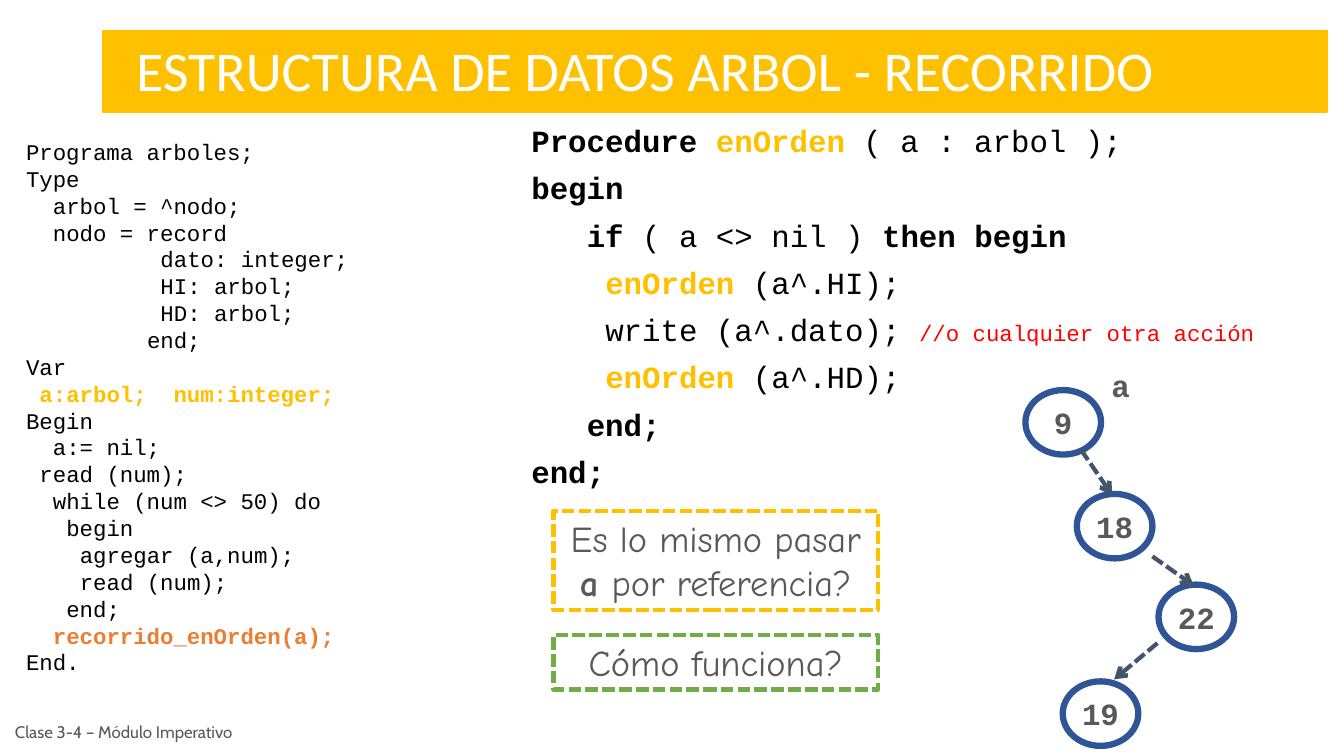
from dataclasses import dataclass
from typing import NamedTuple

from lxml import etree
from pptx import Presentation
from pptx import util as u
from pptx.dml.color import RGBColor
from pptx.enum import dml, shapes, text
from pptx.oxml.ns import qn

PX = 9144  # 100 px to the inch
MONO_ADVANCE = 0.6  # width of a Courier New character, in ems


@dataclass(frozen=True)
class Theme:
    black: str = "000000"
    white: str = "FFFFFF"
    grey: str = "595959"
    gold: str = "FFC000"
    orange: str = "ED7D31"
    green: str = "70AD47"
    red: str = "FF0000"
    ring: str = "2F5597"
    arrow: str = "44546A"
    title: int = 40
    question: int = 26
    code: int = 22
    listing: int = 16
    footer: int = 12
    code_font: str = "Courier New"
    title_font: str = "Calibri"
    question_font: str = "Comic Neue"
    footer_font: str = "Cabin"


THEME = Theme()


class Box(NamedTuple):
    left: int
    top: int
    width: int
    height: int


class Run(NamedTuple):
    text: str
    color: str | None = None
    bold: bool | None = None
    size: int | None = None


class Line(NamedTuple):
    columns: int
    runs: list[Run]


class Node(NamedTuple):
    value: str
    left: int
    top: int


class Arrow(NamedTuple):
    start: tuple[int, int]
    end: tuple[int, int]


class Question(NamedTuple):
    box: Box
    color: str
    runs: list[Run]


def plain(columns: int, words: str) -> Line:
    return Line(columns, [Run(words)])


def bold(words: str, color: str | None = None) -> Run:
    return Run(words, color, True)


PROGRAM = [
    plain(0, "Programa arboles;"),
    plain(0, "Type"),
    plain(2, "arbol = ^nodo;"),
    plain(2, "nodo = record"),
    plain(10, "dato: integer;"),
    plain(10, "HI: arbol;"),
    plain(10, "HD: arbol;"),
    plain(9, "end;"),
    plain(0, "Var"),
    Line(1, [bold("a:arbol;  num:integer;", THEME.gold)]),
    plain(0, "Begin"),
    plain(2, "a:= nil;"),
    plain(1, "read (num);"),
    plain(2, "while (num <> 50) do"),
    plain(3, "begin"),
    plain(4, "agregar (a,num);"),
    plain(4, "read (num);"),
    plain(3, "end;"),
    Line(2, [bold("recorrido_enOrden(a);", THEME.orange)]),
    plain(0, "End."),
]
CALL = bold("enOrden", THEME.gold)
PROCEDURE = [
    Line(0, [bold("Procedure "), CALL, Run(" ( a : arbol );")]),
    Line(0, [bold("begin")]),
    Line(3, [bold("if"), Run(" ( a <> nil ) "), bold("then begin")]),
    Line(4, [CALL, Run(" (a^.HI);")]),
    Line(4, [Run("write (a^.dato); "),
             Run("//o cualquier otra acción", THEME.red, size=THEME.listing)]),
    Line(4, [CALL, Run(" (a^.HD);")]),
    Line(3, [bold("end;")]),
    Line(0, [bold("end;")]),
]
QUESTIONS = [
    Question(Box(549, 507, 322, 98), THEME.gold,
             [Run("Es lo mismo pasar "), bold("a "), Run("por referencia?")]),
    Question(Box(549, 630, 322, 54), THEME.green, [Run("Cómo funciona?")]),
]
NODES = [Node("9", 1017, 387), Node("18", 1068, 490),
         Node("22", 1149, 580), Node("19", 1054, 676)]
ARROWS = [Arrow((1072, 446), (1103, 491)), Arrow((1143, 552), (1184, 581)),
          Arrow((1148, 638), (1105, 674))]


def place(shape, box: Box) -> None:
    shape.left, shape.top, shape.width, shape.height = (n * PX for n in box)


def set_font(font, name: str, size: int, color: str, is_bold: bool = False) -> None:
    font.name, font.size, font.bold = name, u.Pt(size), is_bold
    font.color.rgb = RGBColor.from_string(color)


def prepare_frame(shape, anchor=text.MSO_ANCHOR.TOP):
    frame = shape.text_frame
    frame.word_wrap = True
    frame.auto_size = text.MSO_AUTO_SIZE.NONE
    frame.vertical_anchor = anchor
    return frame


def add_runs(paragraph, runs: list[Run]) -> None:
    for item in runs:
        run = paragraph.add_run()
        run.text = item.text
        if item.color:
            run.font.color.rgb = RGBColor.from_string(item.color)
        if item.bold:
            run.font.bold = True
        if item.size:
            run.font.size = u.Pt(item.size)


def write_code(shape, lines: list[Line], size: int, align, spacing: float, gap: int) -> None:
    """Write unbulleted code, indenting each line by whole characters."""
    frame = prepare_frame(shape)
    for index, line in enumerate(lines):
        paragraph = frame.add_paragraph() if index else frame.paragraphs[0]
        paragraph.alignment = align
        paragraph.line_spacing = spacing
        paragraph.space_before = u.Pt(gap if index else 0)
        properties = paragraph._p.get_or_add_pPr()
        properties.set("marL", str(int(u.Pt(line.columns * MONO_ADVANCE * size))))
        properties.set("indent", "0")
        etree.SubElement(properties, qn("a:buNone"))
        set_font(paragraph.font, THEME.code_font, size, THEME.black)
        add_runs(paragraph, line.runs)


def write_label(shape, runs: list[Run], font: tuple, align, anchor=text.MSO_ANCHOR.TOP) -> None:
    paragraph = prepare_frame(shape, anchor).paragraphs[0]
    paragraph.alignment = align
    set_font(paragraph.font, *font)
    add_runs(paragraph, runs)


def add_outline(slide, kind, box: Box, color: str, width: float):
    shape = slide.shapes.add_shape(kind, *(n * PX for n in box))
    shape.shadow.inherit = False
    shape.fill.background()
    shape.line.color.rgb = RGBColor.from_string(color)
    shape.line.width = u.Pt(width)
    return shape


def add_question(slide, question: Question) -> None:
    shape = add_outline(slide, shapes.MSO_SHAPE.RECTANGLE, question.box, question.color, 3)
    shape.line.dash_style = dml.MSO_LINE.SQUARE_DOT
    write_label(shape, question.runs, (THEME.question_font, THEME.question, THEME.grey),
                text.PP_ALIGN.CENTER)


def add_node(slide, node: Node) -> None:
    shape = add_outline(slide, shapes.MSO_SHAPE.OVAL, Box(node.left, node.top, 75, 64),
                        THEME.ring, 4.5)
    write_label(shape, [Run(node.value)], (THEME.code_font, THEME.code, THEME.grey, True),
                text.PP_ALIGN.CENTER, text.MSO_ANCHOR.MIDDLE)
    shape.text_frame.margin_left = shape.text_frame.margin_right = 0


def add_arrow(slide, arrow: Arrow) -> None:
    connector = slide.shapes.add_connector(
        shapes.MSO_CONNECTOR.STRAIGHT, *(n * PX for n in arrow.start + arrow.end))
    connector.line.color.rgb = RGBColor.from_string(THEME.arrow)
    connector.line.width = u.Pt(3)
    connector.line.dash_style = dml.MSO_LINE.SQUARE_DOT
    properties = connector._element.spPr
    etree.SubElement(properties.find(qn("a:ln")), qn("a:tailEnd"), type="arrow")
    etree.SubElement(properties, qn("a:effectLst"))


def add_text_box(slide, box: Box):
    return slide.shapes.add_textbox(*(n * PX for n in box))


def main() -> None:
    presentation = Presentation()
    presentation.slide_width, presentation.slide_height = 1333 * PX, 750 * PX
    slide = presentation.slides.add_slide(presentation.slide_layouts[1])
    left, center = text.PP_ALIGN.LEFT, text.PP_ALIGN.CENTER

    band = add_outline(slide, shapes.MSO_SHAPE.RECTANGLE, Box(102, 30, 1214, 81), THEME.gold, 1)
    band.fill.solid()
    band.fill.fore_color.rgb = RGBColor.from_string(THEME.gold)
    slide.shapes._spTree.insert(2, band._element)  # behind the title

    title, procedure = slide.placeholders
    place(title, Box(125, 30, 1166, 77))
    write_label(title, [Run("ESTRUCTURA DE DATOS ARBOL - RECORRIDO")],
                (THEME.title_font, THEME.title, THEME.white), left)
    place(procedure, Box(517, 120, 758, 378))
    write_code(procedure, PROCEDURE, THEME.code, left, 0.9, 10)
    write_code(add_text_box(slide, Box(16, 132, 388, 549)), PROGRAM, THEME.listing,
               text.PP_ALIGN.JUSTIFY, 1.0, 0)

    for question in QUESTIONS:
        add_question(slide, question)
    for node in NODES:
        add_node(slide, node)
    for arrow in ARROWS:
        add_arrow(slide, arrow)
    write_label(add_text_box(slide, Box(1075, 359, 73, 49)), [Run("a")],
                (THEME.code_font, THEME.code, THEME.grey, True), center)
    write_label(add_text_box(slide, Box(5, 707, 315, 38)), [Run("Clase 3-4 – Módulo Imperativo")],
                (THEME.footer_font, THEME.footer, THEME.grey), left, text.MSO_ANCHOR.MIDDLE)
    presentation.save("out.pptx")


if __name__ == "__main__":
    main()
